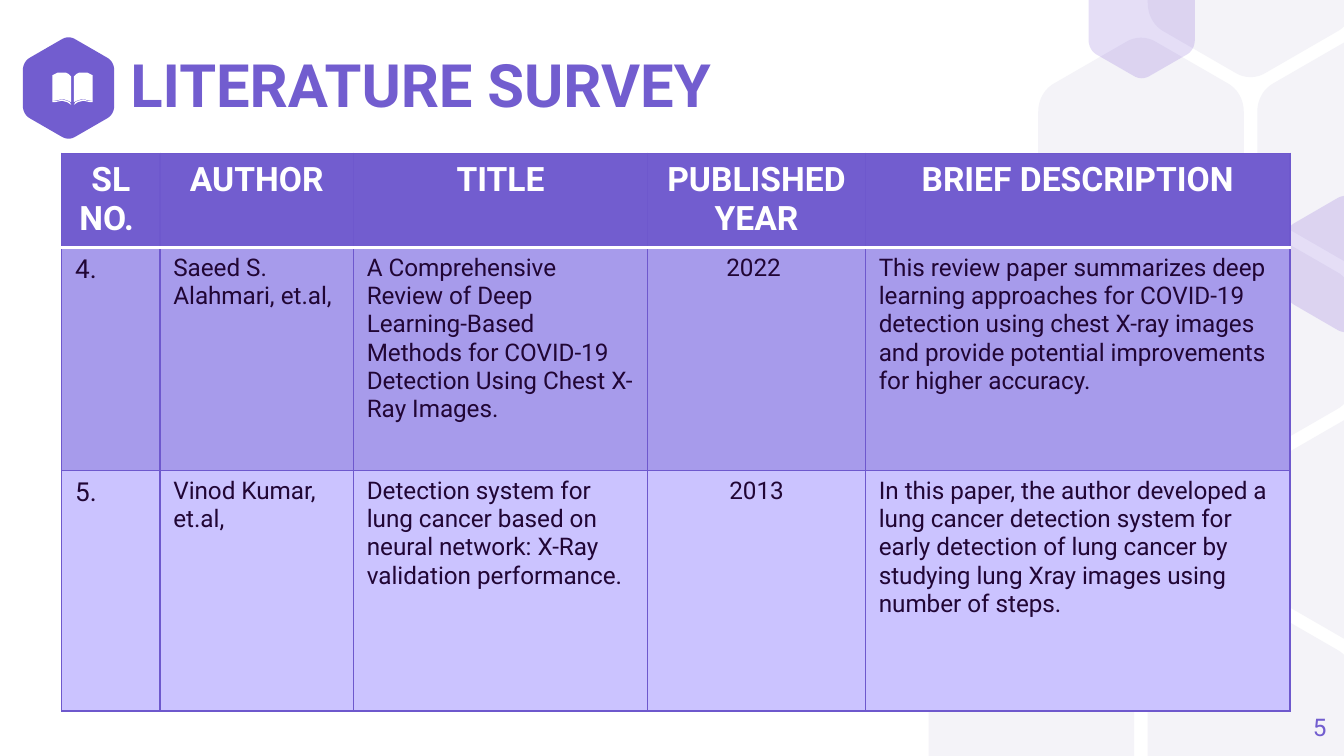
from pptx import Presentation
from pptx.util import Inches, Pt
from pptx.dml.color import RGBColor
from pptx.enum.text import PP_ALIGN as Align, MSO_ANCHOR as Anchor
from pptx.oxml import parse_xml
from pptx.oxml.ns import nsdecls, qn
from lxml.etree import SubElement

WIDE = 10
HIGH = WIDE * 9 / 16
THEME = dict(
    font="Roboto", main="725DCF", pale="F4F3F8", tint="5322C9", white="FFFFFF",
    ink="210635", line="6E58CD", bands=["A79BEB", "CBC3FF"],
    title=32, head=18, index=14, body=13,
)

TITLE = "LITERATURE SURVEY"
PAGE = "5"
HEADS = ["SL NO. ", "AUTHOR", "TITLE", "PUBLISHED\nYEAR", "BRIEF DESCRIPTION"]
ROWS = [
    ["4.", "Saeed S. Alahmari, et.al,",
     "A Comprehensive Review of Deep Learning-Based Methods for COVID-19 "
     "Detection Using Chest X-Ray Images.",
     "2022 ",
     "This review paper summarizes deep learning approaches for COVID-19 "
     "detection using chest X-ray images and provide potential improvements "
     "for higher accuracy."],
    ["5.", "Vinod Kumar, et.al,",
     "Detection system for lung cancer based on neural network: X-Ray "
     "validation performance.",
     "2013",
     "In this paper, the author developed a lung cancer detection system for "
     "early detection of lung cancer by studying lung Xray images using "
     "number of steps."],
]
COLS = [0.73, 1.44, 2.19, 1.62, 3.16]
TALL = [0.67, 1.66, 1.79]
YEAR = 3

# Honeycomb: column and row of each pale cell, then the free tinted cells
COMB = [(0, 4), (2, 4), (3, 1), (2, 0), (2, 2), (1, 1)]
TINTED = [(9.56, 1.46, 0.91, 1.01), (8.1, -0.29, 0.79, 0.87)]
LAST = (3, 3)
BADGE = (0.17, 0.28, 0.68, 0.75)

# Left half of the book; the right half is its mirror
FOLD = 0.54
LEAF = [(0.39, 0.56), (0.41, 0.55), (0.43, 0.54), (0.46, 0.54), (0.49, 0.54),
        (0.51, 0.55), (0.53, 0.57), (0.53, 0.76), (0.51, 0.75), (0.48, 0.74),
        (0.45, 0.74), (0.4, 0.75), (0.39, 0.74)]
EDGE = [(0.39, 0.74), (0.4, 0.75), (0.43, 0.75), (0.46, 0.74), (0.5, 0.75),
        (0.52, 0.76), (0.53, 0.78), (0.5, 0.76), (0.46, 0.75), (0.41, 0.76),
        (0.39, 0.76)]

deck = Presentation()
deck.slide_width, deck.slide_height = Inches(WIDE), Inches(HIGH)
slide = deck.slides.add_slide(deck.slide_layouts[6])
shapes = slide.shapes


def curve(a, b, c, d, steps=8):
    """Points along a cubic curve."""
    def mix(p, q, r, s, t):
        u = 1 - t
        return u**3 * p + 3 * u * u * t * q + 3 * u * t * t * r + t**3 * s
    return [tuple(mix(*axis, i / steps) for axis in zip(a, b, c, d))
            for i in range(steps + 1)]


def outline(points, color, alpha=None):
    pts = [(Inches(x), Inches(y)) for x, y in points]
    pen = shapes.build_freeform(*pts[0])
    pen.add_line_segments(pts[1:], close=True)
    form = pen.convert_to_shape()
    form.shadow.inherit = False
    form.line.fill.background()
    form.fill.solid()
    form.fill.fore_color.rgb = RGBColor.from_string(color)
    if alpha:
        tone = form.fill._xPr.find(qn("a:solidFill"))[0]
        SubElement(tone, qn("a:alpha"), val=str(alpha * 1000))


def hexagon(box, color, alpha=None):
    """Round-cornered hexagon, cut off at the slide's top and bottom."""
    left, top, wide, high = box
    side = curve((0, 0.325), (0, 0.27), (0.03, 0.22), (0.085, 0.195))
    peak = curve((0.42, 0.02), (0.47, -0.01), (0.53, -0.01), (0.58, 0.02))
    upper = side + peak + [(1 - x, y) for x, y in reversed(side)]
    ring = upper + [(1 - x, 1 - y) for x, y in upper]
    outline([(left + x * wide, min(max(top + y * high, 0), HIGH))
             for x, y in ring], color, alpha)


def comb(col, row):
    hexagon((6.91 + col * 1.63 / 2, -1.12 + row * 2.81 / 2, 1.53, 1.69),
            THEME["pale"])


def write(frame, text, size, color, bold=False, **form):
    look = dict(name=THEME["font"], size=Pt(size), bold=bold)
    for i, line in enumerate(text.split("\n")):
        para = frame.add_paragraph() if i else frame.paragraphs[0]
        for key, val in form.items():
            setattr(para, key, val)
        run = para.add_run()
        run.text = line
        for key, val in look.items():
            setattr(run.font, key, val)
        run.font.color.rgb = RGBColor.from_string(color)


def label(box, text, size, **form):
    frame = shapes.add_textbox(*map(Inches, box)).text_frame
    flat = dict(word_wrap=True, vertical_anchor=Anchor.MIDDLE, margin_left=0,
                margin_right=0, margin_top=0, margin_bottom=0)
    for key, val in flat.items():
        setattr(frame, key, val)
    write(frame, text, size, THEME["main"], **form)


def border(cell, row):
    props = cell._tc.get_or_add_tcPr()
    rule = (THEME["line"], 0.75)
    seam = (THEME["white"], 2)
    sides = dict(L=rule, R=rule, T=seam if row == 1 else rule,
                 B=seam if row == 0 else rule)
    for side, (color, width) in sides.items():
        props.append(parse_xml(
            f'<a:ln{side} {nsdecls("a")} w="{Pt(width)}"><a:solidFill>'
            f'<a:srgbClr val="{color}"/></a:solidFill></a:ln{side}>'))


def survey():
    rows = [HEADS] + ROWS
    box = (0.46, 1.14, sum(COLS), sum(TALL))
    table = shapes.add_table(len(rows), len(COLS), *map(Inches, box)).table
    for col, wide in zip(table.columns, COLS):
        col.width = Inches(wide)
    for r, texts in enumerate(rows):
        table.rows[r].height = Inches(TALL[r])
        for c, text in enumerate(texts):
            cell = table.cell(r, c)
            border(cell, r)
            cell.fill.solid()
            fill = THEME["bands"][r - 1] if r else THEME["main"]
            cell.fill.fore_color.rgb = RGBColor.from_string(fill)
            size = THEME["head" if r == 0 else "body" if c else "index"]
            mid = r == 0 or c == YEAR
            write(cell.text_frame, text, size, THEME["ink" if r else "white"],
                  bold=r == 0, alignment=Align.CENTER if mid else Align.LEFT)


hexagon(BADGE, THEME["main"])
for spot in COMB:
    comb(*spot)
for box in TINTED:
    hexagon(box, THEME["tint"], 15)
comb(*LAST)
label((0.97, 0.44, 6.57, 0.43), TITLE, THEME["title"], bold=True,
      line_spacing=0.9)
label((9.27, 5.19, 0.6, 0.43), PAGE, THEME["body"], alignment=Align.RIGHT)
survey()
for part in (EDGE, LEAF):
    outline(part, THEME["white"])
    outline([(2 * FOLD - x, y) for x, y in part], THEME["white"])

deck.save("out.pptx")
